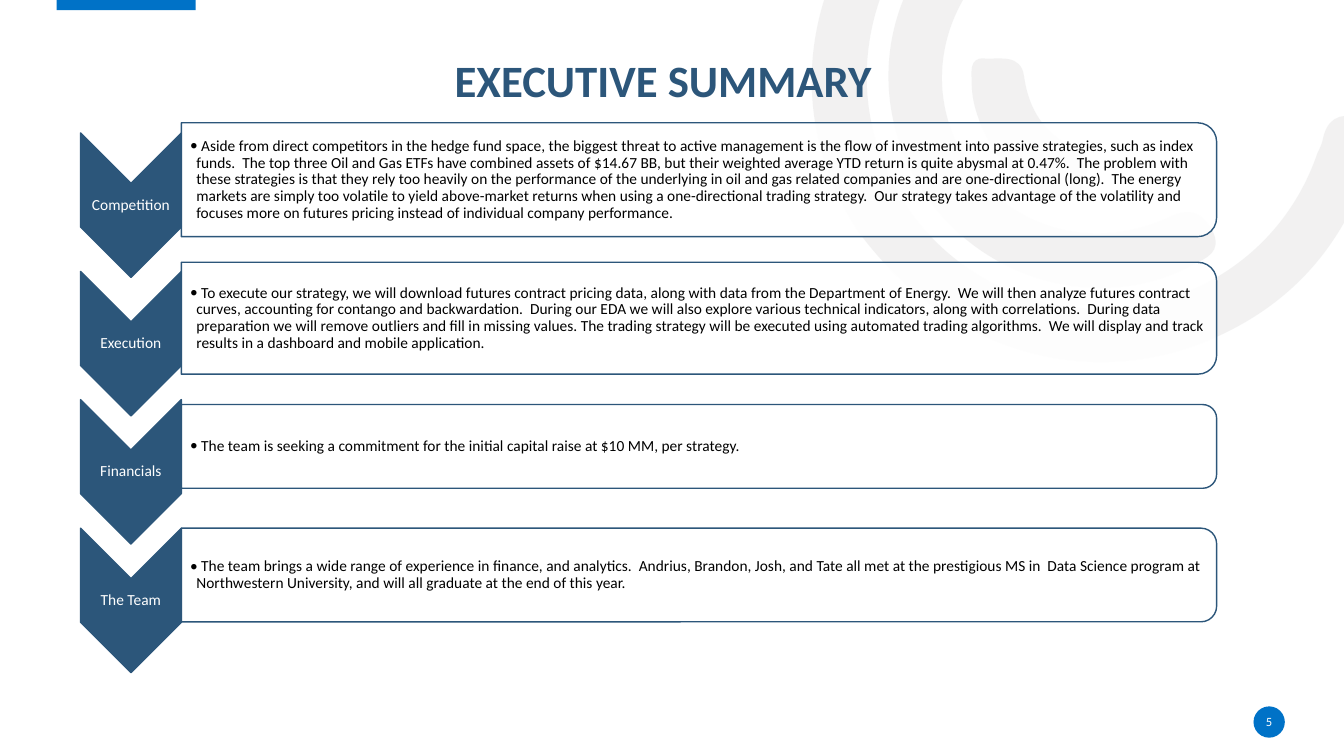
from dataclasses import dataclass
from math import cos, radians, sin

from lxml import etree
from pptx import Presentation
from pptx.dml.color import RGBColor
from pptx.enum.shapes import MSO_SHAPE
from pptx.enum.text import MSO_ANCHOR, PP_ALIGN
from pptx.oxml.ns import qn
from pptx.util import Cm, Pt

RECT, OVAL = MSO_SHAPE.RECTANGLE, MSO_SHAPE.OVAL
CHEVRON, PANEL = MSO_SHAPE.CHEVRON, MSO_SHAPE.ROUND_2_SAME_RECTANGLE
MIDDLE, BOTTOM = MSO_ANCHOR.MIDDLE, MSO_ANCHOR.BOTTOM
LEFT, CENTER = PP_ALIGN.LEFT, PP_ALIGN.CENTER


@dataclass(frozen=True)
class Theme:
    font: str = "Calibri"
    navy: str = "2C567A"
    blue: str = "0072C7"
    white: str = "FFFFFF"
    black: str = "000000"
    swirl: str = "E7E6E6"
    title_size: int = 32
    body_size: int = 11
    page_size: int = 9


@dataclass(frozen=True)
class Topic:
    label: str
    center: float  # vertical middle of the panel, cm
    height: float  # panel height, cm
    detail: str


@dataclass(frozen=True)
class Box:
    """Left, top, width and height in centimetres."""
    left: float
    top: float
    width: float
    height: float

    def emu(self) -> tuple:
        return Cm(self.left), Cm(self.top), Cm(self.width), Cm(self.height)


THEME = Theme()
PANEL_LEFT, PANEL_LENGTH = 4.57, 26.09
TEXT_WIDTH, TEXT_SHARE = 25.93, 0.9
CHEVRON_LEFT, CHEVRON_WIDTH, CHEVRON_LENGTH = 2.03, 2.54, 3.64
CHEVRON_DROP, LABEL_HEIGHT = 0.64, 1.09
BULLET_INDENT = Cm(0.16)
SWIRL_TURN = 144.2
SWIRL_UNIT = Cm(0.0254)

TOPICS = [
    Topic("Competition", 4.53, 2.87,
          " Aside from direct competitors in the hedge fund space, the biggest threat to active "
          "management is the flow of investment into passive strategies, such as index funds.  "
          "The top three Oil and Gas ETFs have combined assets of $14.67 BB, but their weighted "
          "average YTD return is quite abysmal at 0.47%.  The problem with these strategies is "
          "that they rely too heavily on the performance of the underlying in oil and gas related "
          "companies and are one-directional (long).  The energy markets are simply too volatile "
          "to yield above-market returns when using a one-directional trading strategy.  Our "
          "strategy takes advantage of the volatility and focuses more on futures pricing instead "
          "of individual company performance."),
    Topic("Execution", 8.02, 2.82,
          " To execute our strategy, we will download futures contract pricing data, along with "
          "data from the Department of Energy.  We will then analyze futures contract curves, "
          "accounting for contango and backwardation.  During our EDA we will also explore various "
          "technical indicators, along with correlations.  During data preparation we will remove "
          "outliers and fill in missing values. The trading strategy will be executed using "
          "automated trading algorithms.  We will display and track results in a dashboard and "
          "mobile application."),
    Topic("Financials", 11.25, 2.11,
          " The team is seeking a commitment for the initial capital raise at $10 MM, per strategy."),
    Topic("The Team", 14.49, 2.36,
          " The team brings a wide range of experience in finance, and analytics.  Andrius, "
          "Brandon, Josh, and Tate all met at the prestigious MS in  Data Science program at "
          "Northwestern University, and will all graduate at the end of this year."),
]

# Each arc: a start point, then Bézier triples, in hundredths of an inch.
SWIRL_ARCS = [
    [(851, 229), (799, 149), (787, 50), (838, -50), (890, -152), (976, -203), (1090, -207),
     (1105, -207), (1121, -210), (1131, -195), (1144, -175), (1127, -154), (1098, -154),
     (967, -154), (865, -59), (860, 68), (856, 181), (936, 281), (1046, 302),
     (1160, 324), (1270, 261), (1307, 152), (1309, 148), (1311, 144), (1312, 140),
     (1316, 119), (1327, 111), (1349, 117), (1373, 124), (1367, 141), (1361, 156),
     (1334, 245), (1278, 307), (1191, 341), (1070, 387), (936, 345), (851, 229)],
    [(922, 199), (862, 115), (869, 7), (940, -68), (951, -79), (962, -95), (980, -78),
     (995, -64), (997, -50), (979, -32), (925, 26), (920, 108), (965, 168),
     (1008, 229), (1088, 249), (1161, 215), (1182, 205), (1193, 212), (1203, 229),
     (1213, 250), (1197, 256), (1183, 263), (1096, 310), (983, 282), (922, 199)],
    [(987, 151), (975, 130), (964, 107), (964, 82), (964, 73), (961, 57), (976, 58),
     (992, 59), (1013, 53), (1016, 76), (1021, 110), (1036, 132), (1067, 148),
     (1088, 157), (1076, 176), (1072, 189), (1068, 206), (1055, 198), (1045, 194),
     (1021, 187), (1003, 170), (987, 151)],
]


def paint(shape, fill: str, opacity: int = 100, line: str = "") -> None:
    shape.shadow.inherit = False
    shape.fill.solid()
    shape.fill.fore_color.rgb = RGBColor.from_string(fill)
    if opacity < 100:
        color = shape._element.spPr.find(qn("a:solidFill")).find(qn("a:srgbClr"))
        etree.SubElement(color, qn("a:alpha"), val=str(opacity * 1000))
    if line:
        shape.line.color.rgb = RGBColor.from_string(line)
        shape.line.width = Pt(1)
    else:
        shape.line.fill.background()


def write(shape, text: str, size: int, color: str, *, inset: float = 0, left_inset: float = 0,
          align=CENTER, anchor=MIDDLE, bold: bool = False, bullet: bool = False) -> None:
    frame = shape.text_frame
    frame.word_wrap = True
    frame.vertical_anchor = anchor
    frame.margin_top = frame.margin_right = frame.margin_bottom = Cm(inset)
    frame.margin_left = Cm(left_inset or inset)
    paragraph = frame.paragraphs[0]
    paragraph.text = text
    paragraph.alignment = align
    paragraph.line_spacing = 0.9
    if bullet:
        properties = paragraph._p.get_or_add_pPr()
        properties.set("marL", str(BULLET_INDENT))
        properties.set("indent", str(-BULLET_INDENT))
        etree.SubElement(properties, qn("a:buFont"), typeface=THEME.font)
        etree.SubElement(properties, qn("a:buChar"), char="•")
    paragraph.font.name = THEME.font
    paragraph.font.size = Pt(size)
    paragraph.font.bold = bold
    paragraph.font.color.rgb = RGBColor.from_string(color)


def turn(x: float, y: float, degrees: float) -> tuple[float, float]:
    angle = radians(degrees)
    return x * cos(angle) - y * sin(angle), x * sin(angle) + y * cos(angle)


def draw_swirl_arc(slide, arc: list) -> None:
    """Draw a curved outline in a turned frame, joining its points as Bézier triples."""
    start, *others = [turn(x * SWIRL_UNIT, y * SWIRL_UNIT, -SWIRL_TURN) for x, y in arc]
    builder = slide.shapes.build_freeform(*start)
    builder.add_line_segments(others, close=True)
    shape = builder.convert_to_shape()

    outline = shape._element.spPr.find(".//" + qn("a:path"))
    segments = outline.findall(qn("a:lnTo"))
    for i in range(0, len(others), 3):
        curve = etree.Element(qn("a:cubicBezTo"))
        segments[i].addprevious(curve)
        for segment in segments[i:i + 3]:
            curve.append(segment[0])
            outline.remove(segment)

    center_x, center_y = turn(shape.left + shape.width / 2, shape.top + shape.height / 2,
                              SWIRL_TURN)
    shape.left = round(center_x - shape.width / 2)
    shape.top = round(center_y - shape.height / 2)
    shape.rotation = SWIRL_TURN
    paint(shape, THEME.swirl, opacity=53)


def add_quarter_turned(slide, preset, left: float, center: float, width: float, height: float):
    """Add a shape turned 90° that shows with the given left, middle and size."""
    box = Box(left + (width - height) / 2, center - width / 2, height, width)
    shape = slide.shapes.add_shape(preset, *box.emu())
    shape.rotation = 90
    return shape


def draw_topic(slide, topic: Topic) -> None:
    label_center = topic.center + CHEVRON_DROP
    chevron = add_quarter_turned(slide, CHEVRON, CHEVRON_LEFT, label_center,
                                 CHEVRON_WIDTH, CHEVRON_LENGTH)
    paint(chevron, THEME.navy, line=THEME.navy)
    label_box = Box(CHEVRON_LEFT, label_center - LABEL_HEIGHT / 2, CHEVRON_WIDTH, LABEL_HEIGHT)
    label = slide.shapes.add_textbox(*label_box.emu())
    write(label, topic.label, THEME.body_size, THEME.white, inset=0.02)

    panel = add_quarter_turned(slide, PANEL, PANEL_LEFT, topic.center, PANEL_LENGTH, topic.height)
    paint(panel, THEME.white, opacity=90, line=THEME.navy)
    text_height = topic.height * TEXT_SHARE
    detail_box = Box(PANEL_LEFT, topic.center - text_height / 2, TEXT_WIDTH, text_height)
    detail = slide.shapes.add_textbox(*detail_box.emu())
    write(detail, topic.detail, THEME.body_size, THEME.black, inset=0.02, left_inset=0.22,
          align=LEFT, bullet=True)


def main() -> None:
    deck = Presentation()
    deck.slide_width, deck.slide_height = Cm(33.87), Cm(19.05)
    slide = deck.slides.add_slide(deck.slide_layouts[6])

    for arc in SWIRL_ARCS:
        draw_swirl_arc(slide, arc)
    top_tab = slide.shapes.add_shape(RECT, *Box(1.43, -0.04, 3.5, 0.3).emu())
    paint(top_tab, THEME.blue)
    page_badge = slide.shapes.add_shape(OVAL, *Box(31.59, 17.8, 0.79, 0.79).emu())
    paint(page_badge, THEME.blue)
    write(page_badge, "5", THEME.page_size, THEME.white)
    title = slide.shapes.add_textbox(*Box(2.3, 1.43, 28.83, 1.27).emu())
    write(title, "EXECUTIVE SUMMARY", THEME.title_size, THEME.navy, anchor=BOTTOM, bold=True)
    for topic in TOPICS:
        draw_topic(slide, topic)

    deck.save("out.pptx")


if __name__ == "__main__":
    main()
